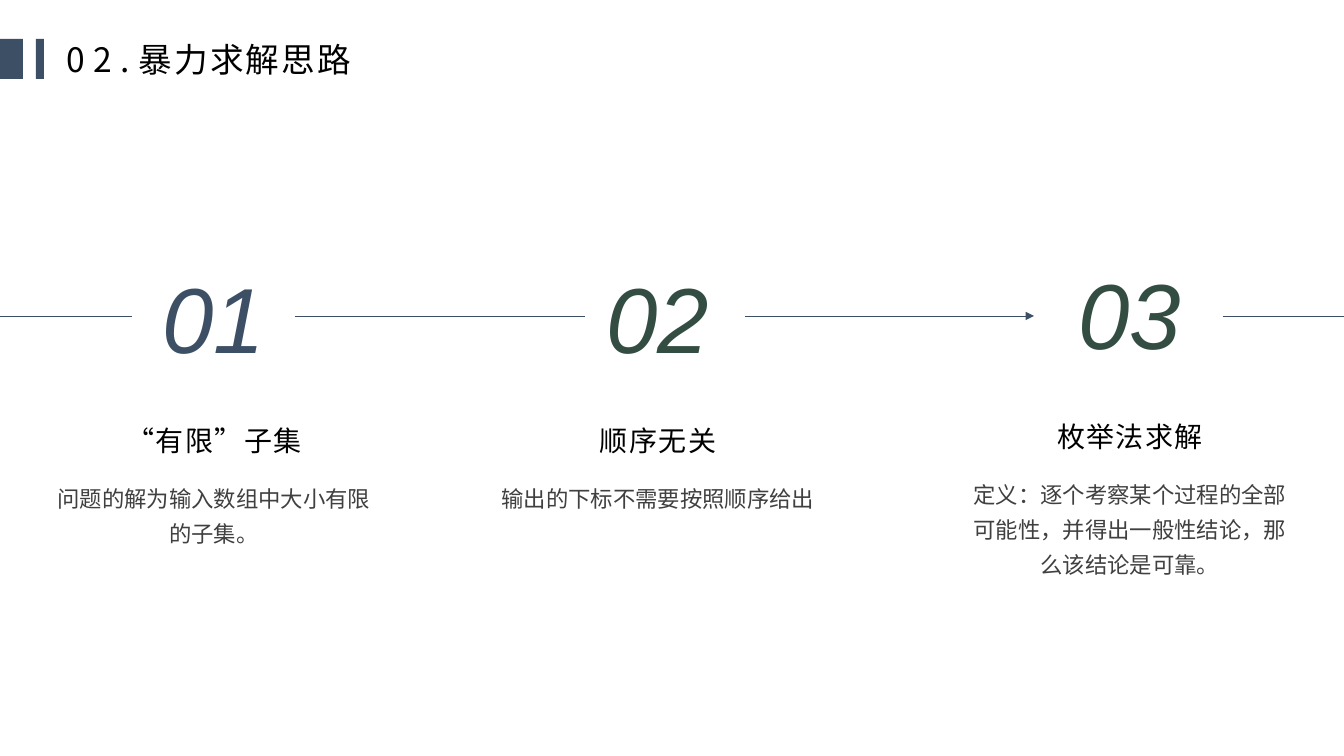
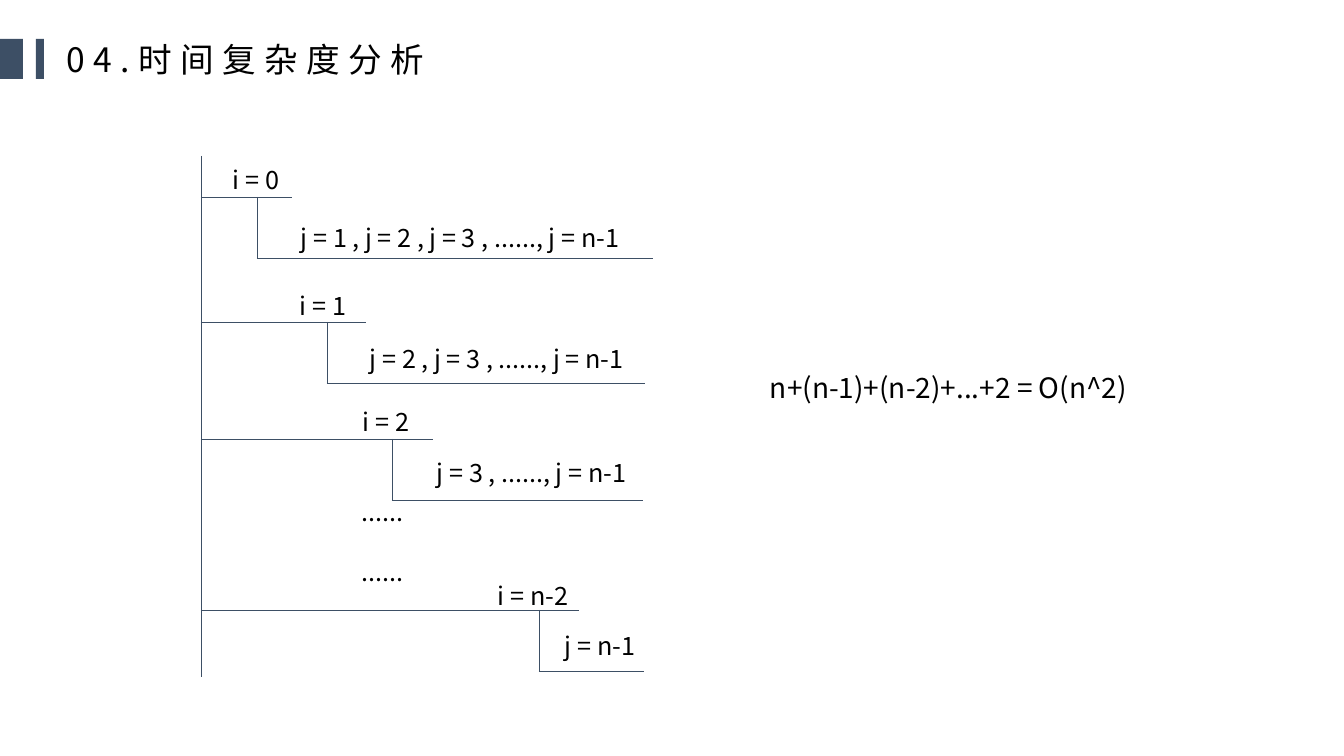
from lxml.etree import SubElement
from pptx import Presentation
from pptx.dml.color import RGBColor
from pptx.enum.shapes import MSO_CONNECTOR as Connector, MSO_SHAPE as Shape
from pptx.enum.text import MSO_ANCHOR as Anchor, PP_ALIGN as Align
from pptx.oxml.ns import qn
from pptx.util import Emu, Pt

PX_PER_INCH = 100.8
NAVY, GREEN, BLACK, GREY = "3D4F65", "334D43", "000000", "404040"
CJK, LATIN = "Noto Sans CJK SC", "Arial"


def px(length):
    """Turn whole pixels into EMU."""
    return Emu(round(length * 914400 / PX_PER_INCH))


def rgb(color):
    """Turn a hex string into a colour."""
    return RGBColor.from_string(color)


def add_run(paragraph, text, size=18, color=BLACK, font=CJK, spacing=0, italic=False):
    """Append formatted text to a paragraph."""
    run = paragraph.add_run()
    run.text = text
    run.font.size = Pt(size)
    run.font.italic = italic
    run.font.color.rgb = rgb(color)
    run.font.name = font
    properties = run.font._element
    SubElement(properties, qn("a:ea")).set("typeface", font)
    if spacing:
        properties.set("spc", str(round(spacing * 100)))


class Deck:
    """Hold the shared style and the current slide."""

    def __init__(self):
        """Start an empty widescreen presentation."""
        self.presentation = Presentation()
        self.presentation.slide_width = px(1344)
        self.presentation.slide_height = px(756)
        self.slide = None

    def add_slide(self, *title_parts):
        """Add a slide with the title bars and (text, spacing) title parts."""
        self.slide = self.presentation.slides.add_slide(self.presentation.slide_layouts[6])
        for left, width in ((0, 23), (36, 8)):
            self.bar(left, 39, width, 40)
        frame = self.frame(67, 25, 472, 68, inset=False)
        frame.vertical_anchor = Anchor.MIDDLE
        for text, spacing in title_parts:
            add_run(frame.paragraphs[0], text, size=24, spacing=spacing)

    def bar(self, left, top, width, height):
        """Draw a solid rectangle."""
        shape = self.slide.shapes.add_shape(
            Shape.RECTANGLE, px(left), px(top), px(width), px(height))
        shape.shadow.inherit = False
        shape.fill.solid()
        shape.fill.fore_color.rgb = rgb(NAVY)
        shape.line.fill.background()

    def frame(self, left, top, width, height, inset=True):
        """Add a wrapping text box and return its text frame."""
        box = self.slide.shapes.add_textbox(px(left), px(top), px(width), px(height))
        frame = box.text_frame
        frame.word_wrap = True
        if not inset:
            frame.margin_left = frame.margin_right = 0
            frame.margin_top = frame.margin_bottom = 0
        return frame

    def label(self, text, left, top, width, height=40, **style):
        """Add one left-aligned line of text."""
        add_run(self.frame(left, top, width, height).paragraphs[0], text, **style)

    def centered(self, text, center, top, width, height, inset=False, leading=None, **style):
        """Add text centred on a column axis."""
        frame = self.frame(center - width // 2, top, width, height, inset)
        paragraph = frame.paragraphs[0]
        paragraph.alignment = Align.CENTER
        if leading:
            paragraph.line_spacing = leading
        add_run(paragraph, text, **style)

    def line(self, x1, y1, x2, y2, arrow=False):
        """Draw a thin line, with an optional arrowhead at its end."""
        connector = self.slide.shapes.add_connector(
            Connector.STRAIGHT, px(x1), px(y1), px(x2), px(y2))
        connector.line.color.rgb = rgb(NAVY)
        connector.line.width = Pt(0.5)
        if arrow:
            SubElement(connector.line._get_or_add_ln(), qn("a:tailEnd")).set("type", "triangle")
        SubElement(connector._element.spPr, qn("a:effectLst"))

    def step(self, number, heading, body, center, top, color):
        """Draw a numbered step with its heading and explanation."""
        self.centered(number, center, top, 210, 122, inset=True,
                      size=66, color=color, font=LATIN, italic=True)
        self.centered(heading, center, top + 167, 246, 34, size=20, spacing=1)
        self.centered(body, center, top + 221, 322, 119, leading=1.3, size=16, color=GREY)

    def branch(self, outer, inner, stem, y, end, drop, leaf_end):
        """Draw an outer loop value and the inner loop hanging from it."""
        leaf = y + 61
        self.line(stem, y, end, y)
        self.line(drop, y, drop, leaf)
        self.line(drop, leaf, leaf_end, leaf)
        for text, left, top, width in (outer, inner):
            self.label(text, left, top, width)


def brute_force(deck):
    """Build the slide on the brute-force approach."""
    deck.add_slide(("02.", 6), ("暴力求解思路", 1.5))
    steps = (
        ("01", "“有限”子集", "问题的解为输入数组中大小有限的子集。", 214, 256, NAVY),
        ("02", "顺序无关", "输出的下标不需要按照顺序给出", 658, 256, GREEN),
        ("03", "枚举法求解",
         "定义：逐个考察某个过程的全部可能性，并得出一般性结论，那么该结论是可靠。",
         1130, 252, GREEN),
    )
    for step in steps:
        deck.step(*step)
    for start, end, arrow in ((0, 132, False), (295, 585, False),
                              (745, 1034, True), (1223, 1344, False)):
        deck.line(start, 316, end, 316, arrow)


def time_complexity(deck):
    """Build the slide on time complexity."""
    deck.add_slide(("04.时间复杂度分析", 6))
    stem = 201
    deck.line(stem, 156, stem, 677)
    branches = (
        (("i = 0", 223, 159, 90),
         ("j = 1 , j = 2 , j = 3 , ......, j = n-1", 291, 217, 390), 197, 292, 257, 653),
        (("i = 1", 290, 285, 90),
         ("j = 2 , j = 3 , ......, j = n-1", 360, 338, 320), 322, 366, 327, 645),
        (("i = 2", 353, 401, 90),
         ("j = 3 , ......, j = n-1", 427, 452, 250), 439, 433, 392, 643),
        (("i = n-2", 488, 575, 120),
         ("j = n-1", 555, 625, 120), 610, 579, 539, 644),
    )
    for outer, inner, *places in branches:
        deck.branch(outer, inner, stem, *places)
    for top in (491, 551):
        deck.label("......", 352, top, 90)
    deck.label("n+(n-1)+(n-2)+...+2 = O(n^2)", 760, 366, 430, 44, size=20)


def main():
    """Build and save the presentation."""
    deck = Deck()
    brute_force(deck)
    time_complexity(deck)
    deck.presentation.save("out.pptx")


if __name__ == "__main__":
    main()
